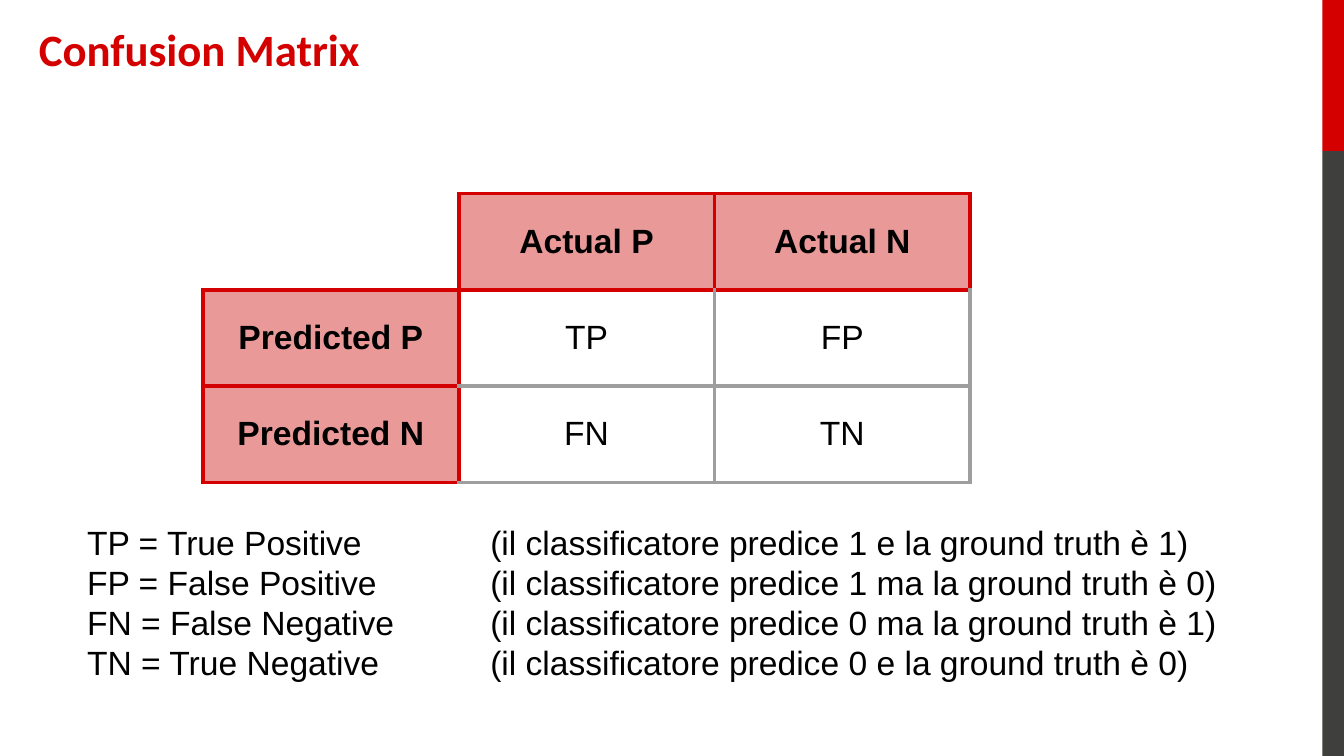
import pptx
import pptx.util
import pptx.dml.color
import pptx.enum.shapes
import pptx.enum.text
import pptx.oxml
import pptx.oxml.ns
from lxml import etree

WIDTH = 10
HEIGHT = WIDTH * 9 / 16
RED, DARK, PINK, GREY, BLACK = "D40000", "3F3F3E", "EA9999", "9E9E9E", "000000"

TITLE = "Confusion Matrix"
MATRIX = [
    ["", "Actual P", "Actual N"],
    ["Predicted P", "TP", "FP"],
    ["Predicted N", "FN", "TN"],
]
LEGEND = [
    ("TP = True Positive", "(il classificatore predice 1 e la ground truth è 1)"),
    ("FP = False Positive", "(il classificatore predice 1 ma la ground truth è 0)"),
    ("FN = False Negative", "(il classificatore predice 0 ma la ground truth è 1)"),
    ("TN = True Negative", "(il classificatore predice 0 e la ground truth è 0)"),
]
BAR_WIDTH = 0.16
BAR_SPLIT = HEIGHT / 5
MATRIX_LEFT, MATRIX_TOP, MATRIX_WIDTH, MATRIX_HEIGHT = 1.51, 1.44, 5.71, 2.15
LEGEND_TAB = 3
TITLE_FORMAT = {"name": "Calibri", "size": pptx.util.Pt(24), "bold": True}
BODY_FORMAT = {"name": "Arial", "size": pptx.util.Pt(18), "bold": False}


def rgb(value):
    return pptx.dml.color.RGBColor.from_string(value)


def box(*lengths):
    return [pptx.util.Inches(length) for length in lengths]


def set_margins(target, margins):
    for side, margin in zip(("left", "top", "right", "bottom"), margins):
        setattr(target, f"margin_{side}", pptx.util.Inches(margin))


def write(paragraph, text, color, font_format):
    run = paragraph.add_run()
    run.text = text
    for name, value in font_format.items():
        setattr(run.font, name, value)
    run.font.color.rgb = rgb(color)


def add_bar(slide, top, height, color):
    bar = slide.shapes.add_shape(
        pptx.enum.shapes.MSO_SHAPE.RECTANGLE,
        *box(WIDTH - BAR_WIDTH, top, BAR_WIDTH, height))
    bar.shadow.inherit = False
    bar.fill.solid()
    bar.fill.fore_color.rgb = rgb(color)
    bar.line.fill.background()


def add_text_frame(slide, lengths, margins):
    frame = slide.shapes.add_textbox(*box(*lengths)).text_frame
    frame.word_wrap = True
    set_margins(frame, margins)
    return frame


def edge_color(row, column, side):
    """Red around header cells, grey around values, none outside the empty corner."""
    if row == column == 0:
        return RED if side in "RB" else None
    touches_header = (row == 0 or column == 0
                      or (row == 1 and side == "T")
                      or (column == 1 and side == "L"))
    return RED if touches_header else GREY


def set_borders(cell, row, column):
    properties = cell._tc.get_or_add_tcPr()
    for position, side in enumerate("LRTB"):
        color = edge_color(row, column, side)
        line = etree.Element(pptx.oxml.ns.qn(f"a:ln{side}"),
                             w=str(pptx.util.Pt(2.25)))
        if color:
            fill = etree.SubElement(line, pptx.oxml.ns.qn("a:solidFill"))
            etree.SubElement(fill, pptx.oxml.ns.qn("a:srgbClr"), val=color)
        else:
            etree.SubElement(line, pptx.oxml.ns.qn("a:noFill"))
        properties.insert(position, line)


def add_matrix(slide):
    table = slide.shapes.add_table(len(MATRIX), len(MATRIX[0]), *box(
        MATRIX_LEFT, MATRIX_TOP, MATRIX_WIDTH, MATRIX_HEIGHT)).table
    for row, labels in enumerate(MATRIX):
        for column, label in enumerate(labels):
            cell = table.cell(row, column)
            is_header = bool(label) and (row == 0 or column == 0)
            set_margins(cell, [0.1] * 4)
            cell.vertical_anchor = pptx.enum.text.MSO_ANCHOR.MIDDLE
            if is_header:
                cell.fill.solid()
                cell.fill.fore_color.rgb = rgb(PINK)
            else:
                cell.fill.background()
            set_borders(cell, row, column)
            if label:
                paragraph = cell.text_frame.paragraphs[0]
                paragraph.alignment = pptx.enum.text.PP_ALIGN.CENTER
                write(paragraph, label, BLACK, {**BODY_FORMAT, "bold": is_header})


def add_legend(slide):
    frame = add_text_frame(slide, (0.55, 3.78, 8.9, 1.62), [0.1] * 4)
    for index, (term, meaning) in enumerate(LEGEND):
        paragraph = frame.add_paragraph() if index else frame.paragraphs[0]
        tabs = etree.SubElement(paragraph._p.get_or_add_pPr(),
                                pptx.oxml.ns.qn("a:tabLst"))
        etree.SubElement(tabs, pptx.oxml.ns.qn("a:tab"),
                         pos=str(pptx.util.Inches(LEGEND_TAB)), algn="l")
        write(paragraph, f"{term} \t{meaning}", BLACK, BODY_FORMAT)


def main():
    presentation = pptx.Presentation()
    presentation.slide_width, presentation.slide_height = box(WIDTH, HEIGHT)
    slide = presentation.slides.add_slide(presentation.slide_layouts[6])
    add_bar(slide, 0, BAR_SPLIT, RED)
    add_bar(slide, BAR_SPLIT, HEIGHT - BAR_SPLIT, DARK)
    add_matrix(slide)
    title = add_text_frame(slide, (0.28, 0.15, 7.97, 0.42), (0.01, 0.01, 0, 0))
    write(title.paragraphs[0], TITLE, RED, TITLE_FORMAT)
    add_legend(slide)
    presentation.save("out.pptx")


if __name__ == "__main__":
    main()
